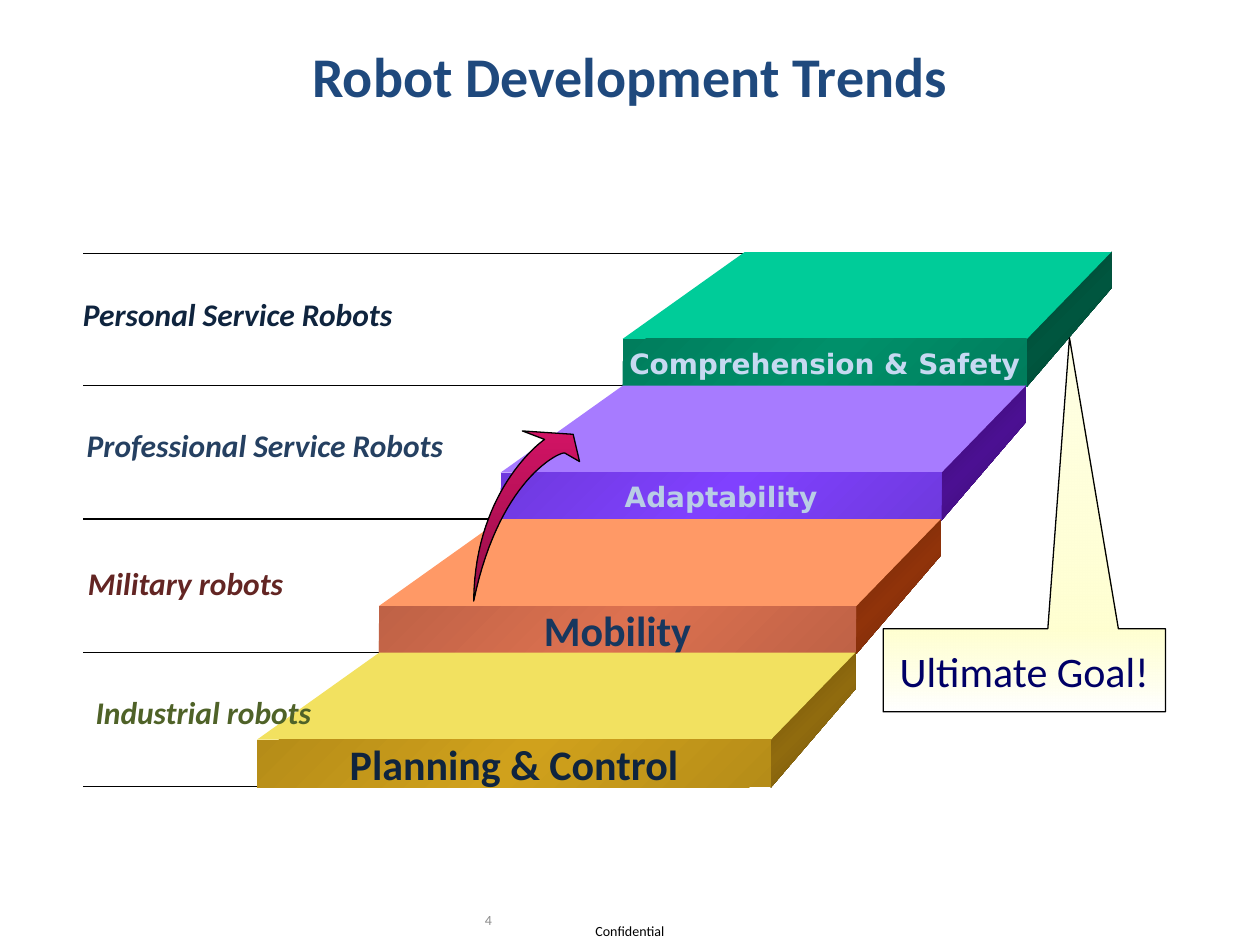
from dataclasses import dataclass

from lxml.etree import SubElement
from pptx import Presentation
from pptx.dml.color import RGBColor
from pptx.enum.shapes import MSO_CONNECTOR as Connector, MSO_SHAPE as Shape
from pptx.enum.text import MSO_ANCHOR as Anchor, MSO_AUTO_SIZE as AutoSize, PP_ALIGN as Align
from pptx.oxml.ns import qn
from pptx.util import Inches, Pt

COLUMNS, ROWS = 100, 75
WIDTH, HEIGHT = Inches(10), Inches(7.5)
STEP_HEIGHT, STEP_GAP, TREAD = 10.7, 10.6, 6.9
SIDE_WIDTH, SLANT, EDGE = 6.7, 9.7, 2.9
RULE_LEFT = 6.6


@dataclass
class Box:
    left: float
    top: float
    width: float
    height: float

    @property
    def right(self):
        return self.left + self.width

    @property
    def bottom(self):
        return self.top + self.height

    def emu(self):
        return (*cell(self.left, self.top), *cell(self.width, self.height))


@dataclass
class Step:
    skill: str
    skill_format: dict
    robots: str
    robots_color: str
    robots_left: float
    robots_drop: float
    tread: str
    front: tuple
    side: tuple


LARGE = dict(size=24, font="Calibri")
SMALL = dict(size=16, font="DejaVu Sans")
STEPS = [
    Step("Comprehension & Safety", dict(SMALL, color="C6D9F1"), "Personal Service Robots",
         "0F243E", 5.6, 2.9, "00CC99", ("007D5C", "00906A"), ("003E2D", "00563F")),
    Step("Adaptability", dict(SMALL, color="B9CDE5"), "Professional Service Robots",
         "254061", 5.9, 2.7, "A77BFF", ("6F39DE", "8041FF"), ("360B68", "4B1092")),
    Step("Mobility", dict(LARGE, color="17375E"), "Military robots",
         "632523", 6, 3.1, "FF9966", ("BF6246", "DC7150"), ("672407", "90330A")),
    Step("Planning & Control", dict(LARGE, color="0F243E"), "Industrial robots",
         "4F6228", 6.6, 2.7, "F2E160", ("B58C18", "D0A11C"), ("674D0A", "906B0E")),
]


def cell(column, row):
    return round(column * WIDTH / COLUMNS), round(row * HEIGHT / ROWS)


def rgb(value):
    return RGBColor.from_string(value)


def write(shape, words, size=18, color="000000", font="Calibri", bold=False,
          italic=False, align=Align.LEFT, anchor=Anchor.MIDDLE, wrap=True):
    frame = shape.text_frame
    frame.word_wrap = wrap
    frame.vertical_anchor = anchor
    frame.text = words
    paragraph = frame.paragraphs[0]
    paragraph.alignment = align
    style = paragraph.runs[0].font
    style.size, style.name, style.bold, style.italic = Pt(size), font, bold, italic
    style.color.rgb = rgb(color)


def add_text(slide, box, words, **style):
    label = slide.shapes.add_textbox(*box.emu())
    write(label, words, **style)
    return label


def paint(shape, colors, angle=45, line_width=None, first_alpha=100):
    shape.shadow.inherit = False
    if len(colors) == 1:
        shape.fill.solid()
        shape.fill.fore_color.rgb = rgb(colors[0])
    else:
        shape.fill.gradient()
        shape.fill.gradient_angle = 360 - angle
        stops = shape.element.spPr.find(qn("a:gradFill")).find(qn("a:gsLst"))
        stops[:] = []
        for index, color in enumerate(colors):
            position = 100000 * index // (len(colors) - 1)
            stop = SubElement(stops, qn("a:gs"), pos=str(position))
            tint = SubElement(stop, qn("a:srgbClr"), val=color)
            if index == 0 and first_alpha < 100:
                SubElement(tint, qn("a:alpha"), val=str(first_alpha * 1000))
    if line_width is None:
        shape.line.fill.background()
    else:
        shape.line.color.rgb = rgb("000000")
        shape.line.width = Pt(line_width)


def add_polygon(slide, points, colors, **style):
    corners = [cell(*point) for point in points]
    builder = slide.shapes.build_freeform(*corners[0], scale=1)
    builder.add_line_segments(corners[1:], close=True)
    paint(builder.convert_to_shape(), colors, **style)


def add_rule(slide, right, row):
    rule = slide.shapes.add_connector(
        Connector.STRAIGHT, *cell(right, row), *cell(RULE_LEFT, row))
    rule.line.color.rgb = rgb("000000")
    rule.line.width = Pt(0.75)
    SubElement(rule.element.spPr, qn("a:effectLst"))


def add_step(slide, box, step):
    edge = box.right - SIDE_WIDTH
    lip = box.top + TREAD
    outer, inner = step.side
    add_polygon(slide, [(box.right, box.top + EDGE), (edge, box.bottom),
                        (edge, lip), (box.right, box.top)], (outer, inner, outer))
    add_polygon(slide, [(edge, lip), (box.left, lip), (box.left + SLANT, box.top),
                        (box.right, box.top)], (step.tread,))
    add_rule(slide, box.left, box.bottom - 0.1)
    front = slide.shapes.add_shape(
        Shape.RECTANGLE, *Box(box.left, lip, edge - box.left, box.bottom - lip).emu())
    outer, inner = step.front
    paint(front, (outer, inner, outer))
    write(front, step.skill, bold=True, align=Align.CENTER, wrap=False, **step.skill_format)
    label_width = 4.5 + 1.12 * len(step.robots)
    label = add_text(slide, Box(step.robots_left, box.top + step.robots_drop, label_width, 4),
                     step.robots, color=step.robots_color, bold=True, italic=True,
                     anchor=Anchor.TOP, wrap=True)
    label.text_frame.auto_size = AutoSize.SHAPE_TO_FIT_TEXT


def add_staircase(slide, box):
    add_rule(slide, box.left + 3 * SLANT + SLANT, box.top + 0.1)
    for index, step in enumerate(STEPS):
        left = box.left + (len(STEPS) - 1 - index) * 9.67
        right = box.right - index * 6.77
        add_step(slide, Box(left, box.top + index * STEP_GAP, right - left, STEP_HEIGHT), step)


def add_goal(slide, box):
    goal = slide.shapes.add_shape(Shape.RECTANGULAR_CALLOUT, *box.emu())
    goal.adjustments[0], goal.adjustments[1] = 0.16, -4
    paint(goal, ("FFFFCC", "FFFFFF"), angle=90, line_width=0.75, first_alpha=51)
    write(goal, "Ultimate Goal!", size=24, color="000066", align=Align.CENTER)


def curve(start, pull, push, end, count=30):
    points = []
    for index in range(count + 1):
        t = index / count
        weights = ((1 - t) ** 3, 3 * t * (1 - t) ** 2, 3 * t * t * (1 - t), t ** 3)
        points.append(tuple(sum(w * p[axis] for w, p in zip(weights, (start, pull, push, end)))
                            for axis in (0, 1)))
    return points


def add_climb_arrow(slide, box):
    def at(x, y):
        return box.left + x * box.width, box.top + y * box.height

    tail = at(0, 1)
    outer = curve(tail, at(0.01, 0.36), at(0.62, 0.07), at(0.67, 0.05))
    head = [at(0.46, 0), at(0.94, 0.02), at(1, 0.18)]
    inner = curve(at(0.86, 0.13), at(0.82, 0.12), at(0.24, 0.28), tail)
    add_polygon(slide, outer + head + inner[:-1], ("D11364", "960E48"), angle=90, line_width=0)


def add_title(slide, box):
    title = slide.shapes.title
    title.left, title.top, title.width, title.height = box.emu()
    write(title, "Robot Development Trends", size=32, color="1F497D", bold=True,
          align=Align.CENTER)


def add_footer(slide, box):
    add_text(slide, Box(box.left + 7.5, box.top + 1.9, 10, 1.9), "Confidential",
             size=8, align=Align.CENTER)
    add_text(slide, Box(box.left, box.top, 23.3, 4), "4", size=8, color="8C8C8C")


def main():
    deck = Presentation()
    deck.slide_width, deck.slide_height = WIDTH, HEIGHT
    slide = deck.slides.add_slide(deck.slide_layouts[5])
    add_footer(slide, Box(37.5, 71, 23.3, 4))
    add_title(slide, Box(5, 1.3, 90, 9.4))
    add_staircase(slide, Box(20.4, 20, 67.8, 42.5))
    add_goal(slide, Box(70.1, 49.9, 22.4, 6.6))
    add_climb_arrow(slide, Box(37.6, 34.2, 8.4, 13.5))
    deck.save("out.pptx")


if __name__ == "__main__":
    main()
